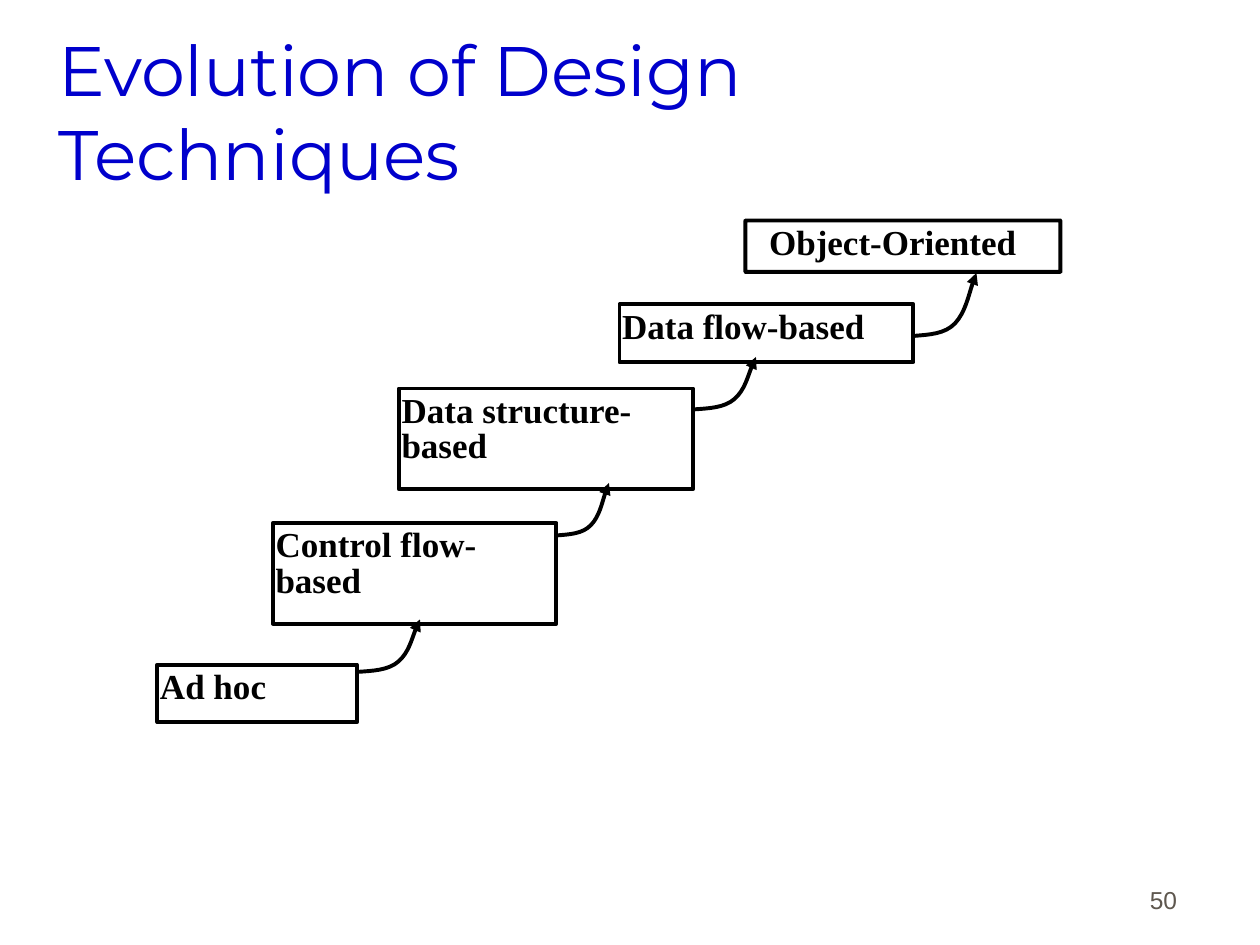
from pptx import Presentation
from pptx.dml.color import RGBColor
from pptx.enum.shapes import MSO_SHAPE as Shape
from pptx.enum.text import MSO_ANCHOR as Anchor, MSO_AUTO_SIZE as AutoSize, PP_ALIGN as Align
from pptx.oxml.ns import qn
from pptx.util import Inches, Pt
from lxml.etree import SubElement

TITLE = "Evolution of Design Techniques"
PAGE = "50"
COLUMNS, ROWS = 120, 90
# (text, left, top, width, height), then (arrow top, width, height), in grid cells
TECHNIQUES = [
    ("Ad hoc", (15, 63.3, 19, 5.5), (59, 6, 5)),
    ("Control flow-based", (26, 49.8, 27, 9.6), (46, 5, 5)),
    ("Data structure-based", (38, 37, 28, 9.6), (34, 6, 5)),
    ("Data flow-based", (59, 29, 28, 5.5), (26, 6, 6)),
]
LATEST, LATEST_FRAME, LATEST_LABEL = "Object-Oriented", (71, 21, 30, 4.9), (73, 21, 28, 5.2)
TITLE_AREA, PAGE_AREA = (5.3, 3, 102, 15), (88.3, 81.7, 25, 6)
BEND = [(0, 1), (0.25, 0.98), (0.5, 0.97), (0.66, 0.8), (0.82, 0.63), (0.94, 0.12), (1, 0)]
LABEL = dict(font="Times New Roman", size=20, color="000000", bold=True, before=11.5, spacing=0.85)

deck = Presentation()
deck.slide_width, deck.slide_height = Inches(10), Inches(7.5)
slide = deck.slides.add_slide(deck.slide_layouts[5])
shapes = slide.shapes


def rgb(value):
    """Turn a hex string into a colour."""
    return RGBColor.from_string(value)


def cells(left, top, width, height):
    """Turn grid cells into slide lengths."""
    column, row = deck.slide_width / COLUMNS, deck.slide_height / ROWS
    return round(left * column), round(top * row), round(width * column), round(height * row)


def write(holder, text, font, size, color, bold=False, before=0, spacing=None,
          align=Align.LEFT, anchor=Anchor.TOP, inset=0.02):
    """Fill a shape with one formatted paragraph."""
    frame = holder.text_frame
    frame.word_wrap, frame.auto_size, frame.vertical_anchor = True, AutoSize.NONE, anchor
    frame.margin_left = frame.margin_right = Inches(inset)
    frame.margin_top = frame.margin_bottom = Inches(0.05)
    line = frame.paragraphs[0]
    line.alignment, line.space_before, line.line_spacing = align, Pt(before), spacing
    run = line.add_run()
    run.text = text
    run.font.name, run.font.size, run.font.bold = font, Pt(size), bold
    run.font.color.rgb = rgb(color)


def outline(part):
    """Leave a shape with only a black outline."""
    part.shadow.inherit = False
    part.fill.background()
    part.line.color.rgb, part.line.width = rgb("000000"), Pt(2.25)
    return part


def add_arrow(*area):
    """Draw a bent arrow rising to the next technique."""
    left, top, width, height = cells(*area)
    start, *bends = [(round(left + x * width), round(top + y * height)) for x, y in BEND]
    builder = shapes.build_freeform(*start)
    builder.add_line_segments(bends, close=False)
    arrow = outline(builder.convert_to_shape())
    route = next(arrow.element.iter(qn("a:path")))
    segments = route.findall(qn("a:lnTo"))
    for first in range(0, len(segments), 3):
        curve = SubElement(route, qn("a:cubicBezTo"))
        for segment in segments[first:first + 3]:
            curve.append(segment[0])
            route.remove(segment)
    SubElement(arrow.line._get_or_add_ln(), qn("a:tailEnd"), type="triangle")


title = shapes.title
title.left, title.top, title.width, title.height = cells(*TITLE_AREA)
write(title, TITLE, font="Montserrat", size=40, color="0000CC", before=10, anchor=Anchor.MIDDLE)
write(shapes.add_textbox(*cells(*PAGE_AREA)), PAGE, font="Arial", size=14, color="5E574E",
      before=8.8, align=Align.RIGHT, anchor=Anchor.BOTTOM, inset=0.1)

for technique, area, (rise_top, rise_width, rise_height) in TECHNIQUES:
    write(outline(shapes.add_shape(Shape.RECTANGLE, *cells(*area))), technique, **LABEL)
    add_arrow(area[0] + area[2], rise_top, rise_width, rise_height)

latest = outline(shapes.add_shape(Shape.ROUNDED_RECTANGLE, *cells(*LATEST_FRAME)))
latest.adjustments[0] = 0.004
write(shapes.add_textbox(*cells(*LATEST_LABEL)), LATEST, **LABEL)

deck.save("out.pptx")
